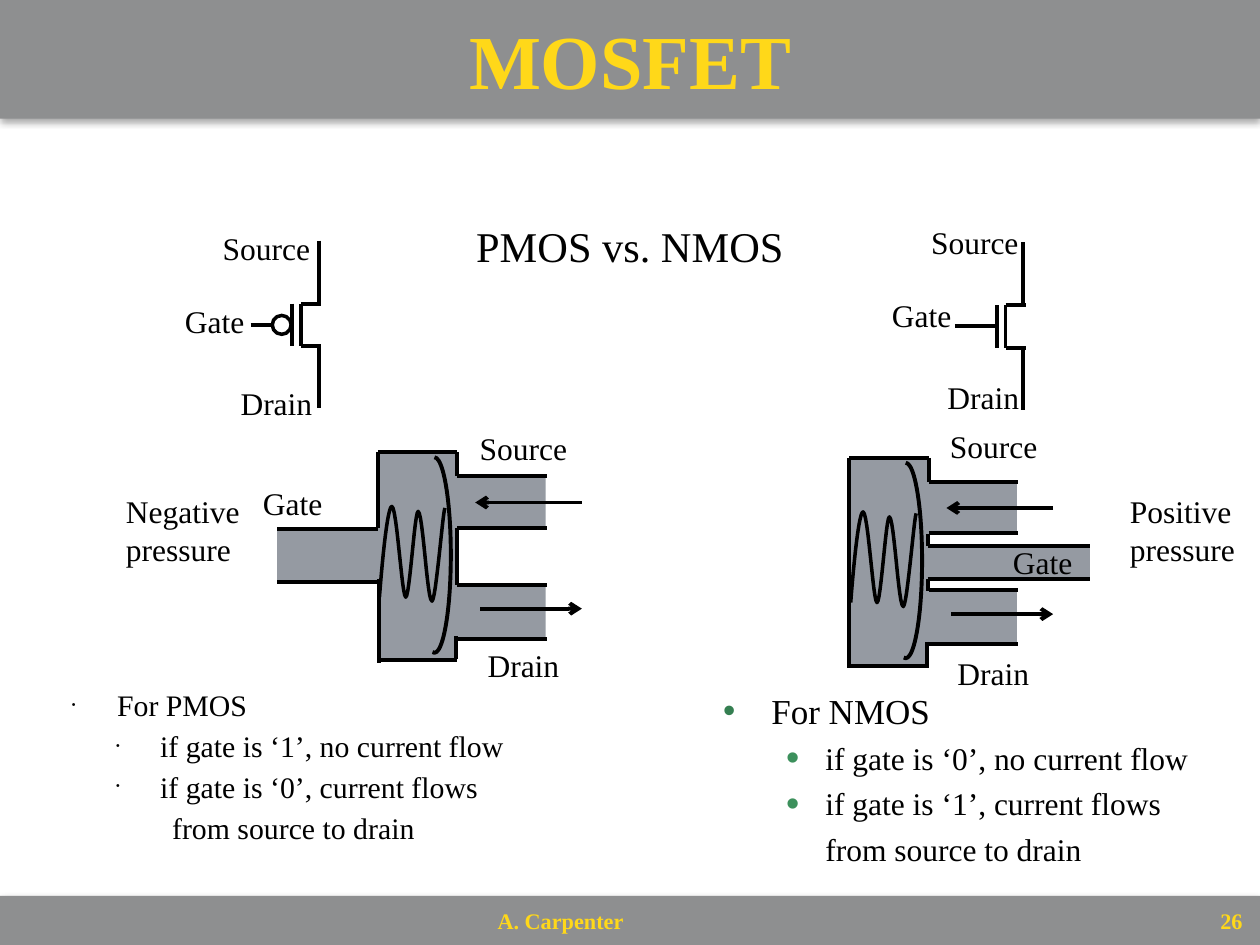
from lxml import etree
from pptx import Presentation
from pptx.dml.color import RGBColor
from pptx.enum.shapes import MSO_CONNECTOR, MSO_SHAPE
from pptx.enum.text import MSO_ANCHOR, MSO_AUTO_SIZE, PP_ALIGN
from pptx.oxml.ns import qn
from pptx.util import Cm, Pt

GRAY = RGBColor(0x8E, 0x8F, 0x90)
PIPE_GRAY = RGBColor(0x95, 0x9A, 0xA2)
YELLOW = RGBColor(0xFF, 0xD8, 0x19)
BLACK = RGBColor(0, 0, 0)
WHITE = RGBColor(0xFF, 0xFF, 0xFF)
DARK_GREEN = RGBColor(0x35, 0x7F, 0x51)
GREEN = RGBColor(0x3C, 0x90, 0x5C)
FONT = "Times New Roman"
STRAIGHT = MSO_CONNECTOR.STRAIGHT
RECTANGLE, OVAL, ARC = MSO_SHAPE.RECTANGLE, MSO_SHAPE.OVAL, MSO_SHAPE.ARC
MIDDLE = MSO_ANCHOR.MIDDLE
NO_FIT, GROW = MSO_AUTO_SIZE.NONE, MSO_AUTO_SIZE.SHAPE_TO_FIT_TEXT
LEFT, CENTER, RIGHT = PP_ALIGN.LEFT, PP_ALIGN.CENTER, PP_ALIGN.RIGHT

presentation = Presentation()
presentation.slide_width, presentation.slide_height = Cm(25.4), Cm(19.05)
slide = presentation.slides.add_slide(presentation.slide_layouts[1])
shapes = slide.shapes


def add_line(x1, y1, x2, y2, arrow=False):
    connector = shapes.add_connector(STRAIGHT, Cm(x1), Cm(y1), Cm(x2), Cm(y2))
    connector.line.color.rgb = BLACK
    connector.line.width = Pt(2.25)
    properties = connector._element.spPr
    if arrow:
        etree.SubElement(properties.find(qn("a:ln")), qn("a:tailEnd"), type="arrow")
    etree.SubElement(properties, qn("a:effectLst"))


def add_run(paragraph, text, size, color=BLACK, bold=False):
    run = paragraph.add_run()
    run.text = text
    run.font.name, run.font.size = FONT, Pt(size)
    run.font.color.rgb, run.font.bold = color, bold


# Title and footer bars with a soft shadow below
title = shapes.title
title.left, title.top, title.width, title.height = 0, 0, Cm(25.4), Cm(2.39)
title.text_frame.vertical_anchor = MIDDLE
title.text_frame.auto_size = NO_FIT
title.text_frame.paragraphs[0].alignment = CENTER
add_run(title.text_frame.paragraphs[0], "MOSFET", 43.6, YELLOW, True)
footer_bar = shapes.add_shape(RECTANGLE, 0, Cm(18.06), Cm(25.4), Cm(0.99))
for bar in (title, footer_bar):
    bar.fill.solid()
    bar.fill.fore_color.rgb = GRAY
    bar.line.fill.background()
    bar.shadow.inherit = False
    shadow = etree.SubElement(bar._element.spPr.find(qn("a:effectLst")), qn("a:outerShdw"),
                              blurRad="50800", dist="25400", dir="5400000", rotWithShape="0")
    shadow_color = etree.SubElement(shadow, qn("a:srgbClr"), val=str(BLACK))
    etree.SubElement(shadow_color, qn("a:alpha"), val="35000")

for text, left, top, width, height, alignment in (
        ("A. Carpenter", 9.88, 18.16, 5.66, 0.79, LEFT),
        ("26", 24.31, 18.11, 0.89, 0.91, RIGHT)):
    box = shapes.add_textbox(Cm(left), Cm(top), Cm(width), Cm(height))
    frame = box.text_frame
    frame.word_wrap = False
    frame.vertical_anchor = MIDDLE
    frame.margin_left = frame.margin_right = Cm(0.15)
    frame.margin_top = frame.margin_bottom = Cm(0.15)
    frame.paragraphs[0].alignment = alignment
    add_run(frame.paragraphs[0], text, 12.7, YELLOW, True)

# Subtitle and the two lists
body = slide.placeholders[1]
body.left, body.top, body.width, body.height = Cm(1.27), Cm(4.45), Cm(22.86), Cm(13.64)
for frame in (title.text_frame, body.text_frame):
    frame.margin_left = frame.margin_right = Cm(0.18)
    frame.margin_top = frame.margin_bottom = Cm(0.18)
nmos_list = shapes.add_textbox(Cm(14.33), Cm(13.77), Cm(10.67), Cm(4.11))
for frame in (body.text_frame, nmos_list.text_frame):
    frame.word_wrap = True
    frame.auto_size = NO_FIT

# text, size, level, indent and hanging in cm, space before, bullet size in % and colour
pmos_lines = (
    ("PMOS vs. NMOS", 24.2, 0, 0, 0, 7, None, None),
    ("For PMOS", 17, 0, 0.91, 0.91, 242, 35, BLACK),
    ("if gate is ‘1’, no current flow", 17, 1, 1.78, 0.89, 7, 35, BLACK),
    ("if gate is ‘0’, current flows", 17, 1, 1.78, 0.89, 7, 35, BLACK),
    ("from source to drain", 17, 1, 2.02, 0, 7, None, None))
nmos_lines = (
    ("For NMOS", 20, 0, 0.97, 0.97, 4.4, 100, DARK_GREEN),
    ("if gate is ‘0’, no current flow", 18, 1, 2.06, 0.79, 4.4, 120, GREEN),
    ("if gate is ‘1’, current flows", 18, 1, 2.06, 0.79, 4.4, 120, GREEN),
    ("from source to drain", 18, 1, 2.06, 0, 4.4, None, None))
for frame, lines, spacing in ((body.text_frame, pmos_lines, 0.8),
                              (nmos_list.text_frame, nmos_lines, 1.0)):
    for index, (text, size, level, indent, hanging, before, percent, color) in enumerate(lines):
        paragraph = frame.add_paragraph() if index else frame.paragraphs[0]
        paragraph.level = level
        paragraph.alignment = LEFT
        paragraph.line_spacing = spacing
        paragraph.space_before = Pt(before)
        add_run(paragraph, text, size)
        properties = paragraph._p.get_or_add_pPr()
        properties.set("marL", str(Cm(indent)))
        properties.set("indent", str(-Cm(hanging)))
        if percent:
            bullet_color = etree.SubElement(properties, qn("a:buClr"))
            etree.SubElement(bullet_color, qn("a:srgbClr"), val=str(color))
            etree.SubElement(properties, qn("a:buSzPct"), val=str(percent * 1000))
            etree.SubElement(properties, qn("a:buFont"), typeface="Arial")
            etree.SubElement(properties, qn("a:buChar"), char="•")
        else:
            etree.SubElement(properties, qn("a:buNone"))
body.text_frame.paragraphs[0].alignment = CENTER

# Transistor symbols
symbol_lines = (
    (6.43, 4.85, 6.43, 6.12), (6.43, 6.98, 6.43, 8.23),
    (5.89, 6.12, 5.89, 6.98), (6.07, 6.12, 6.07, 6.98),
    (6.07, 6.12, 6.48, 6.12), (6.07, 6.98, 6.48, 6.98),
    (5.05, 6.55, 5.89, 6.55))
for dx, dy in ((0, 0), (14.2, 0.03)):
    for x1, y1, x2, y2 in symbol_lines:
        add_line(x1 + dx, y1 + dy, x2 + dx, y2 + dy)
inverter_circle = shapes.add_shape(OVAL, Cm(5.49), Cm(6.36), Cm(0.38), Cm(0.38))
inverter_circle.fill.solid()
inverter_circle.fill.fore_color.rgb = WHITE
inverter_circle.line.color.rgb = BLACK
inverter_circle.line.width = Pt(2)
inverter_circle.shadow.inherit = False

# Valves: each has its own gate pipe and walls, the rest is shared
chamber_and_ports = ((7.62, 9.12, 1.6, 4.17), (8.97, 9.6, 2.03, 1.07), (8.97, 11.79, 2.03, 1.07))
shared_walls = tuple((9.22, y, 11.02, y) for y in (9.6, 10.64, 11.79, 12.88)) + (
    (7.62, 9.12, 9.22, 9.12), (7.62, 13.31, 9.22, 13.31),
    (9.22, 9.12, 9.22, 9.6), (9.19, 12.83, 9.19, 13.28))
pmos_walls = (
    (5.59, 10.67, 7.62, 10.67), (5.59, 11.73, 7.62, 11.73),
    (7.62, 9.12, 7.62, 10.64), (7.64, 11.68, 7.64, 13.36), (9.22, 10.64, 9.22, 11.79))
nmos_walls = (
    (9.2, 10.89, 12.48, 10.89), (9.2, 11.57, 12.48, 11.57),
    (7.62, 9.12, 7.62, 13.36), (9.2, 10.66, 9.2, 10.89), (9.2, 11.57, 9.2, 11.8))
spring_curves = (
    ((7.65, 12.04), (7.72, 11.13), (7.82, 10.21), (7.9, 10.21)),
    ((7.9, 10.21), (8.0, 10.21), (8.1, 12.01), (8.18, 12.04)),
    ((8.18, 12.04), (8.26, 12.04), (8.36, 10.31), (8.43, 10.31)),
    ((8.43, 10.31), (8.53, 10.34), (8.61, 12.12), (8.71, 12.12)),
    ((8.71, 12.12), (8.79, 12.09), (8.92, 10.39), (8.97, 10.24)))
STEPS = 12
for dx, dy, gate_pipe, own_walls in (
        (0, 0, (5.59, 10.67, 2.03, 1.07), pmos_walls),
        (9.5, 0.11, (9.14, 10.89, 3.33, 0.71), nmos_walls)):
    for left, top, width, height in (gate_pipe,) + chamber_and_ports:
        block = shapes.add_shape(RECTANGLE, Cm(left + dx), Cm(top + dy), Cm(width), Cm(height))
        block.fill.solid()
        block.fill.fore_color.rgb = PIPE_GRAY
        block.line.fill.background()
        block.shadow.inherit = False
    for x1, y1, x2, y2 in shared_walls + own_walls:
        add_line(x1 + dx, y1 + dy, x2 + dx, y2 + dy)

    points = []
    for curve in spring_curves:
        for step in range(STEPS + 1):
            t = step / STEPS
            weights = ((1 - t) ** 3, 3 * t * (1 - t) ** 2, 3 * t ** 2 * (1 - t), t ** 3)
            x = sum(weight * point[0] for weight, point in zip(weights, curve))
            y = sum(weight * point[1] for weight, point in zip(weights, curve))
            points.append((Cm(x + dx), Cm(y + dy)))
    builder = shapes.build_freeform(*points[0])
    builder.add_line_segments(points[1:], close=False)
    spring = builder.convert_to_shape()
    diaphragm = shapes.add_shape(ARC, Cm(8.43 + dx), Cm(9.22 + dy), Cm(0.66), Cm(3.94))
    diaphragm.adjustments[0], diaphragm.adjustments[1] = 162, 54.69
    for outline, weight in ((spring, 2), (diaphragm, 2.25)):
        outline.fill.background()
        outline.line.color.rgb = BLACK
        outline.line.width = Pt(weight)
        outline.shadow.inherit = False
    add_line(11.73 + dx, 10.13 + dy, 9.58 + dx, 10.13 + dy, arrow=True)
    add_line(9.68 + dx, 12.27 + dy, 11.73 + dx, 12.27 + dy, arrow=True)

# Labels
label_widths = {"Gate": 1.73, "Source": 2.29, "Drain": 1.98,
                "Negative\npressure": 3.0, "Positive\npressure": 2.74}
labels = (
    ("Gate", 3.48, 5.97), ("Source", 4.24, 4.5), ("Drain", 4.6, 7.62),
    ("Gate", 17.73, 5.84), ("Source", 18.52, 4.37), ("Drain", 18.85, 7.49),
    ("Gate", 5.05, 9.63), ("Source", 9.42, 8.53), ("Drain", 9.58, 12.9),
    ("Gate", 20.17, 10.82), ("Source", 18.9, 8.48), ("Drain", 19.05, 13.06),
    ("Negative\npressure", 2.29, 9.8), ("Positive\npressure", 22.53, 9.8))
for text, left, top in labels:
    lines = text.split("\n")
    height = 1.02 if len(lines) == 1 else 1.8
    label = shapes.add_textbox(Cm(left), Cm(top), Cm(label_widths[text]), Cm(height))
    label.text_frame.word_wrap = False
    label.text_frame.auto_size = GROW
    for index, line in enumerate(lines):
        paragraph = label.text_frame.add_paragraph() if index else label.text_frame.paragraphs[0]
        add_run(paragraph, line, 18)

presentation.save("out.pptx")
